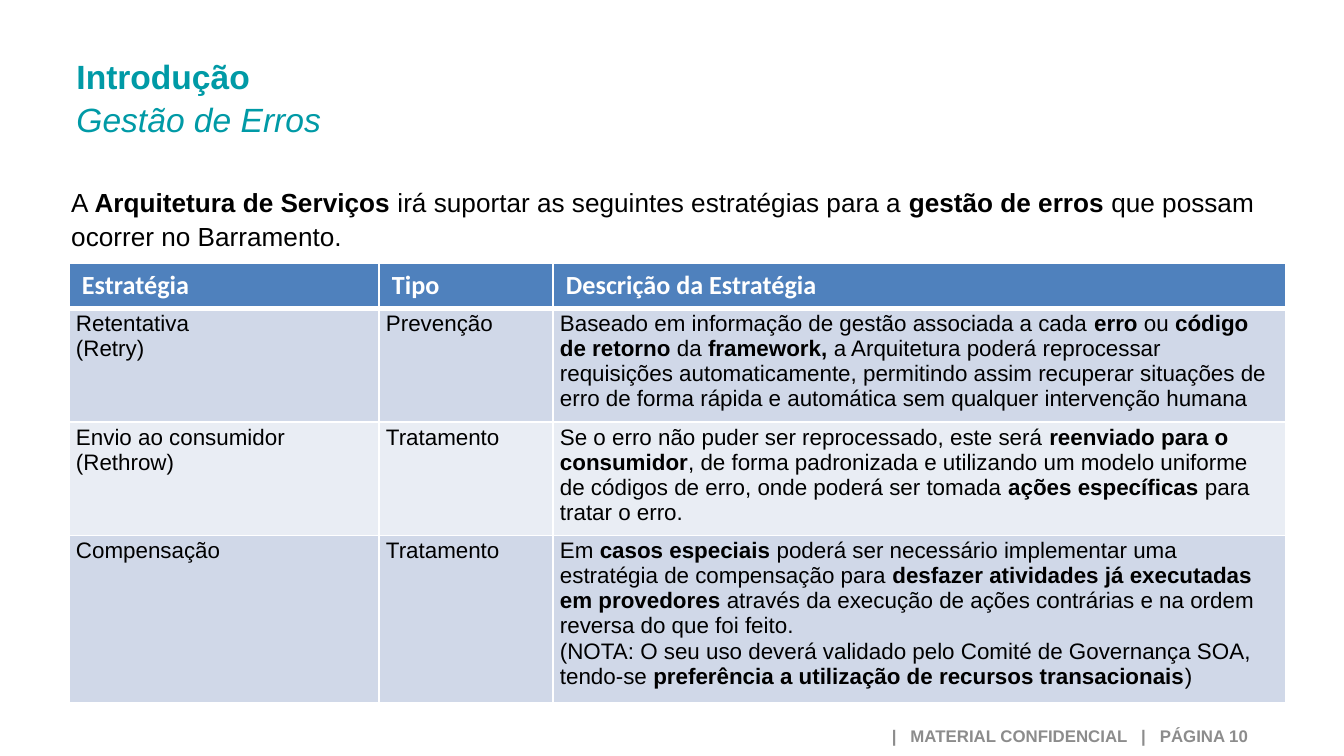
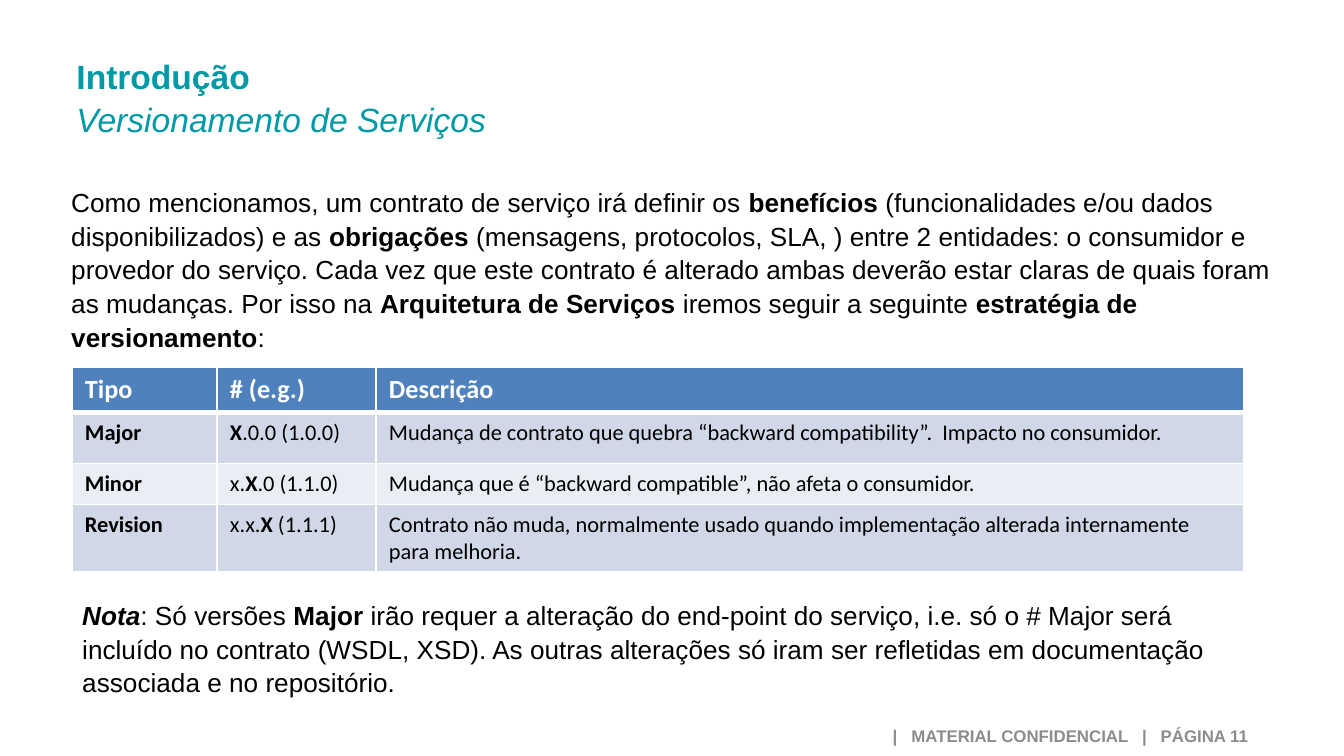
from lxml import etree
from pptx import Presentation
from pptx import util as u
from pptx.dml.color import RGBColor
from pptx.enum import text as t
from pptx.oxml.ns import qn

# Marks in the wording: *bold*, a leading _ for an italic run
TEAL, GREY, BLACK, WHITE = "009AA6", "8C8C8C", "000000", "FFFFFF"
HEAD, BANDS = "4F81BD", ("D0D8E8", "E9EDF4")

SLIDES = [
    {
        "title": "*Introdução*\n_Gestão de Erros",
        "page": 10,
        "texts": [
            ((58, 177, 1227, 77),
             "A *Arquitetura de Serviços *irá suportar as seguintes estratégias "
             "para a *gestão de erros *que possam ocorrer no Barramento."),
        ],
        "table": {
            "at": (69, 263),
            "cols": (310, 174, 733),
            "rows": (45, 106, 106, 156),
            "font": "Arial",
            "pad": (7, 3),
            "cells": [
                ("Estratégia", "Tipo", "Descrição da Estratégia"),
                ("Retentativa\n(Retry)", "Prevenção",
                 "Baseado em informação de gestão associada a cada *erro* ou "
                 "*código de retorno* da *framework, *a Arquitetura poderá "
                 "reprocessar requisições automaticamente, permitindo assim "
                 "recuperar situações de erro de forma rápida e automática sem "
                 "qualquer intervenção humana"),
                ("Envio ao consumidor\n(Rethrow)", "Tratamento",
                 "Se o erro não puder ser reprocessado, este será *reenviado "
                 "para o consumidor*, de forma padronizada e utilizando um "
                 "modelo uniforme de códigos de erro, onde poderá ser tomada "
                 "*ações específicas *para tratar o erro."),
                ("Compensação", "Tratamento",
                 "Em *casos especiais *poderá ser necessário implementar uma "
                 "estratégia de compensação para *desfazer atividades já "
                 "executadas em provedores *através da execução de ações "
                 "contrárias e na ordem reversa do que foi feito.\n"
                 "(NOTA: O seu uso deverá validado pelo Comité de Governança "
                 "SOA, tendo-se *preferência a utilização de recursos "
                 "transacionais*)"),
            ],
        },
    },
    {
        "title": "*Introdução*\n_Versionamento de Serviços",
        "page": 11,
        "texts": [
            ((58, 177, 1227, 172),
             "Como mencionamos, um contrato de serviço irá definir os "
             "*benefícios *(funcionalidades e/ou dados disponibilizados) e as "
             "*obrigações *(mensagens, protocolos, SLA, ) entre 2 entidades: o "
             "consumidor e provedor do serviço. Cada vez que este contrato é "
             "alterado ambas deverão estar claras de quais foram as mudanças. "
             "Por isso na *Arquitetura de Serviços *iremos seguir a seguinte "
             "*estratégia de versionamento*:"),
            ((69, 590, 1185, 109),
             "*_Nota*: Só versões *Major* irão requer a alteração do end-point "
             "do serviço, i.e. só o # Major será incluído no contrato (WSDL, "
             "XSD). As outras alterações só iram ser refletidas em documentação "
             "associada e no repositório."),
        ],
        "table": {
            "at": (72, 367),
            "cols": (145, 159, 868),
            "rows": (45, 51, 41, 67),
            "font": "Calibri",
            "pad": (13, 7),
            "cells": [
                ("Tipo", "# (e.g.)", "Descrição"),
                ("*Major*", "*X*.0.0 (1.0.0)",
                 "Mudança de contrato que quebra “backward compatibility”.  "
                 "Impacto no consumidor."),
                ("*Minor*", "x.*X*.0 (1.1.0)",
                 "Mudança que é “backward compatible”, não afeta o consumidor."),
                ("*Revision*", "x.x.*X* (1.1.1)",
                 "Contrato não muda, normalmente usado quando implementação "
                 "alterada internamente para melhoria."),
            ],
        },
    },
]


def px(n):
    return u.Emu(round(n * 914400 / 134.4))


def rgb(code):
    return RGBColor.from_string(code)


def put(obj, **vals):
    """Set each named attribute on obj."""
    for key, val in vals.items():
        setattr(obj, key, val)


def write(frame, words, size, color, font="Arial", align=t.PP_ALIGN.LEFT,
          lead=1.0):
    """Fill a text frame from marked-up wording, one paragraph per line."""
    for i, line in enumerate(words.split("\n")):
        par = frame.add_paragraph() if i else frame.paragraphs[0]
        put(par, alignment=align, line_spacing=lead)
        for j, part in enumerate(line.split("*")):
            if part:
                run = par.add_run()
                run.text = part.removeprefix("_")
                put(run.font, name=font, size=u.Pt(size), bold=j % 2 == 1,
                    italic=part.startswith("_"))
                run.font.color.rgb = rgb(color)


def place(shape, box):
    put(shape, **dict(zip(("left", "top", "width", "height"), map(px, box))))


def label(slide, box, words, size, color, anchor=t.MSO_ANCHOR.TOP, **form):
    shape = slide.shapes.add_textbox(*map(px, box))
    put(shape.text_frame, word_wrap=True, vertical_anchor=anchor)
    write(shape.text_frame, words, size, color, **form)


def edge(cell, low):
    """White cell borders; low is the width of the bottom one in points."""
    props = cell._tc.get_or_add_tcPr()
    for side, wide in zip("LRTB", (1, 1, 1, low)):
        line = etree.SubElement(props, qn(f"a:ln{side}"), w=str(u.Pt(wide)))
        fill = etree.SubElement(line, qn("a:solidFill"))
        etree.SubElement(fill, qn("a:srgbClr"), val=WHITE)


def grid(slide, data):
    cols, rows = data["cols"], data["rows"]
    box = (*data["at"], sum(cols), sum(rows))
    table = slide.shapes.add_table(len(rows), len(cols), *map(px, box)).table
    for col, wide in zip(table.columns, cols):
        col.width = px(wide)
    for r, (row, high) in enumerate(zip(table.rows, rows)):
        row.height = px(high)
        padx, pady = data["pad"] if r else (13, 7)
        for cell, words in zip(row.cells, data["cells"][r]):
            put(cell, margin_left=px(padx), margin_right=px(padx),
                margin_top=px(pady), margin_bottom=px(pady))
            edge(cell, 1 if r else 3)
            cell.fill.solid()
            cell.fill.fore_color.rgb = rgb(BANDS[(r - 1) % 2] if r else HEAD)
            if r:
                write(cell.text_frame, words, 12, BLACK, data["font"])
            else:
                write(cell.text_frame, f"*{words}*", 14, WHITE, "Calibri")


def build(deck, data):
    slide = deck.slides.add_slide(deck.slide_layouts[5])
    title = slide.shapes.title
    place(title, (63, 46, 995, 95))
    put(title.text_frame, word_wrap=True, vertical_anchor=t.MSO_ANCHOR.TOP,
        auto_size=t.MSO_AUTO_SIZE.NONE)
    write(title.text_frame, data["title"], 18, TEAL, lead=1.08)
    label(slide, (694, 716, 567, 39),
          f"*|   MATERIAL CONFIDENCIAL   |   PÁGINA {data['page']}*", 9, GREY,
          t.MSO_ANCHOR.MIDDLE, align=t.PP_ALIGN.RIGHT)
    for box, words in data["texts"]:
        label(slide, box, words, 14, BLACK, lead=1.08)
    grid(slide, data["table"])


def main():
    deck = Presentation()
    put(deck, slide_width=px(1344), slide_height=px(756))
    for data in SLIDES:
        build(deck, data)
    deck.save("out.pptx")


if __name__ == "__main__":
    main()
